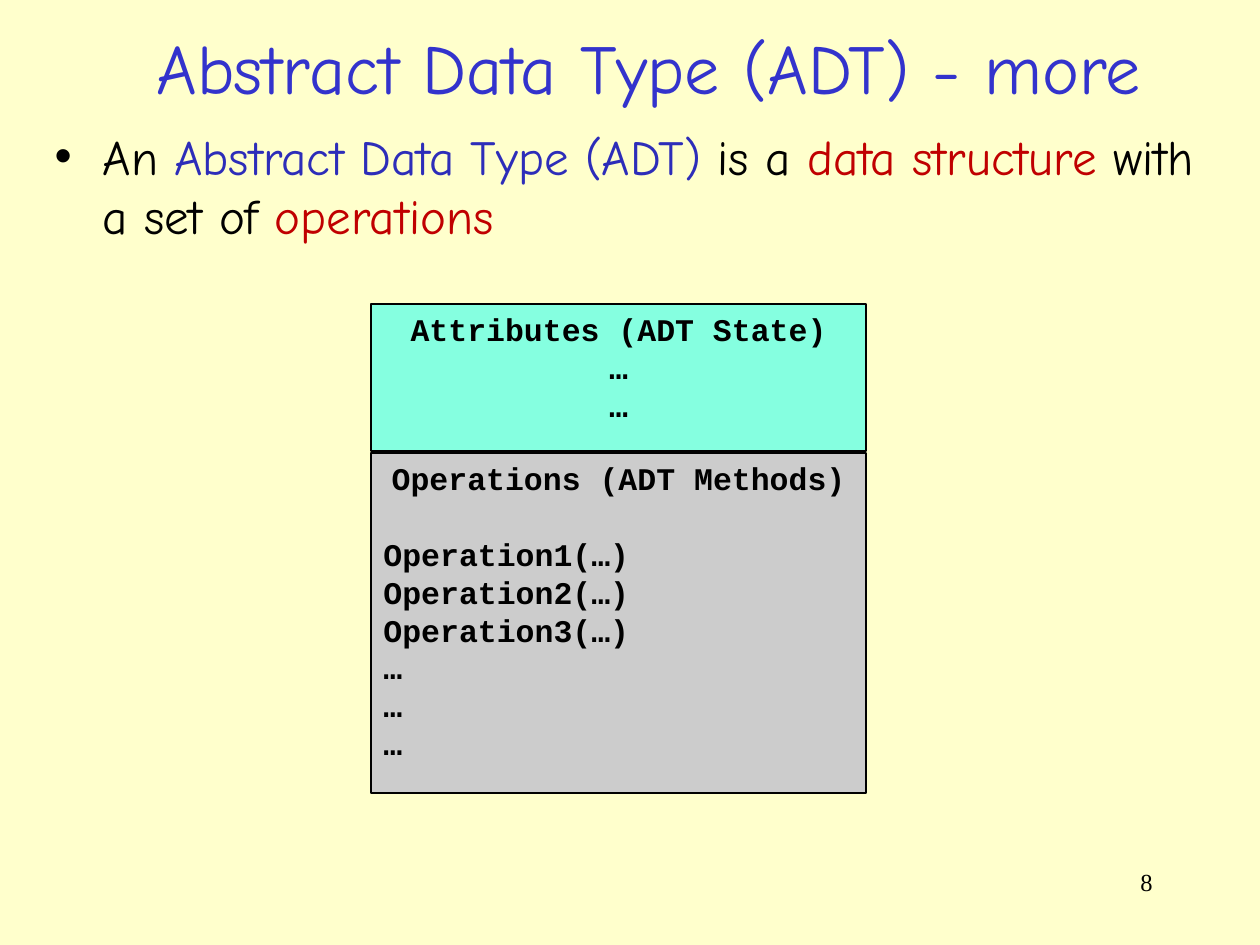
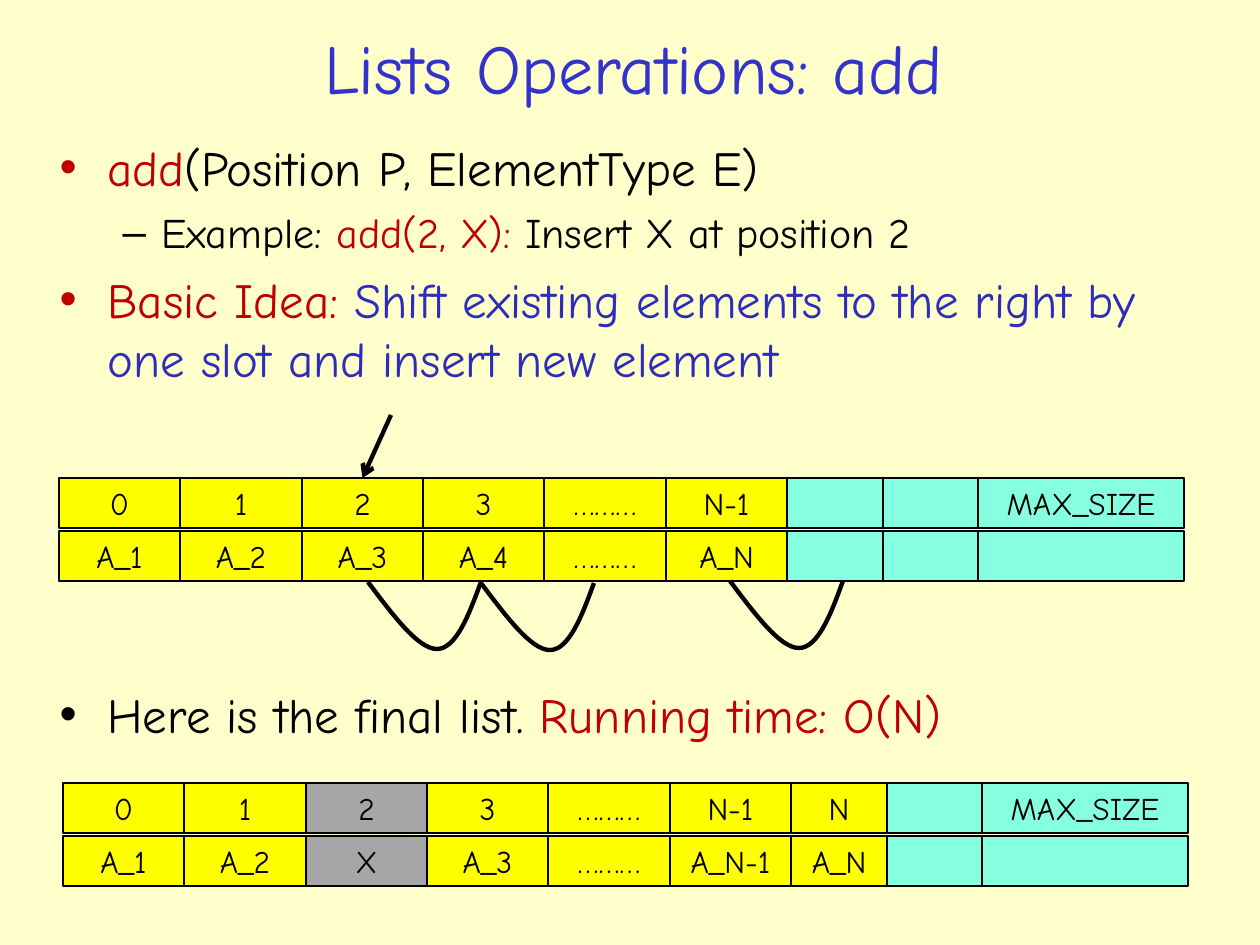
from lxml import etree
from pptx import Presentation
from pptx.dml.color import RGBColor
from pptx.enum.shapes import MSO_CONNECTOR, MSO_SHAPE
from pptx.enum.text import MSO_ANCHOR, MSO_AUTO_SIZE, PP_ALIGN
from pptx.oxml.ns import qn
from pptx.util import Pt

LEFT, CENTER, RIGHT = PP_ALIGN.LEFT, PP_ALIGN.CENTER, PP_ALIGN.RIGHT
TOP, MIDDLE = MSO_ANCHOR.TOP, MSO_ANCHOR.MIDDLE
RECTANGLE, STRAIGHT = MSO_SHAPE.RECTANGLE, MSO_CONNECTOR.STRAIGHT
NO_AUTOFIT = MSO_AUTO_SIZE.NONE

PX = 914400 / 126  # EMU in one px
SLIDE_SIZE = (1260, 945)
TITLE_AND_CONTENT = 1

COLORS = {
    "background": "FFFFCC", "title": "3333CC", "blue": "2D2DB9", "red": "C00000",
    "black": "000000", "aqua": "85FFE0", "silver": "CCCCCC", "yellow": "FFFF00",
    "gray": "A6A6A6",
}

# Text formats
COMIC, COURIER, TIMES = "Comic Neue", "Courier New", "Times New Roman"
TITLE = {"name": COMIC, "size": Pt(40)}
CELL = {"name": COMIC, "size": Pt(18)}
CODE = {"name": COURIER, "size": Pt(18), "bold": True}
PAGE_NUMBER = {"name": TIMES, "size": Pt(14)}

# List levels: format, indent and hanging in px, space before in points
LEVELS = [
    {"format": {"name": COMIC, "size": Pt(28)}, "margin": 48, "hang": 48,
     "before": 7, "bullet": "•"},
    {"format": {"name": COMIC, "size": Pt(24)}, "margin": 102, "hang": 39,
     "before": 6, "bullet": "–"},
]

# Array columns: six of one width, two narrow, one wide
COLUMN_EDGES = [round(728 * k / 6) for k in range(7)] + [824, 919, 1125]
ROW_HEIGHT, ROW_PITCH = 50, 53

# Shift curve: two cubic pieces, relative to the start
SHIFT_CURVE = [
    [(0, 0), (25, 33), (50, 67), (69, 67)],
    [(69, 67), (88, 67), (101, 33), (113, 0)],
]
CURVE_STEPS = 16


def emu(px):
    return round(px * PX)


def color(name):
    return RGBColor.from_string(COLORS[name])


def bezier(points, t):
    """Return the point at t of a cubic curve."""
    weights = [(1 - t) ** 3, 3 * t * (1 - t) ** 2, 3 * t * t * (1 - t), t ** 3]
    return [sum(w * point[axis] for w, point in zip(weights, points)) for axis in (0, 1)]


class Deck:
    def __init__(self):
        self.presentation = Presentation()
        self.presentation.slide_width, self.presentation.slide_height = map(emu, SLIDE_SIZE)
        fill = self.presentation.slide_master.background.fill
        fill.solid()
        fill.fore_color.rgb = color("background")
        self.slide = None

    def add_slide(self, title, box):
        layout = self.presentation.slide_layouts[TITLE_AND_CONTENT]
        self.slide = self.presentation.slides.add_slide(layout)
        shape = self.slide.shapes.title
        self.place(shape, box)
        self.set_frame(shape.text_frame, MIDDLE)
        self.add_runs(shape.text_frame.paragraphs[0], [(title, "title")], TITLE, CENTER)

    def place(self, shape, box):
        for name, value in zip(("left", "top", "width", "height"), box):
            setattr(shape, name, emu(value))

    def set_frame(self, frame, anchor=TOP):
        settings = {"word_wrap": True, "auto_size": NO_AUTOFIT, "vertical_anchor": anchor}
        for name, value in settings.items():
            setattr(frame, name, value)

    def add_runs(self, paragraph, runs, text_format, alignment):
        paragraph.alignment = alignment
        for text, color_name in runs:
            run = paragraph.add_run()
            run.text = text
            for name, value in text_format.items():
                setattr(run.font, name, value)
            run.font.color.rgb = color(color_name)

    def paragraphs(self, frame, count):
        """Return count paragraphs, the first being the one already there."""
        return [frame.paragraphs[0]] + [frame.add_paragraph() for _ in range(count - 1)]

    def bullets(self, box, items):
        """Fill the body; an item is level, runs and extra px before it."""
        shape = self.slide.placeholders[1]
        self.place(shape, box)
        frame = shape.text_frame
        self.set_frame(frame)
        for paragraph, (level, runs, gap) in zip(self.paragraphs(frame, len(items)), items):
            style = LEVELS[level]
            paragraph.level = level
            paragraph.space_before = Pt(style["before"]) + emu(gap)
            self.add_runs(paragraph, runs, style["format"], LEFT)
            bullet_color = runs[0][1]
            properties = paragraph._p.get_or_add_pPr()
            properties.set("marL", str(emu(style["margin"])))
            properties.set("indent", str(-emu(style["hang"])))
            holder = etree.SubElement(properties, qn("a:buClr"))
            etree.SubElement(holder, qn("a:srgbClr"), val=COLORS[bullet_color])
            etree.SubElement(properties, qn("a:buFont"), typeface="Arial")
            etree.SubElement(properties, qn("a:buChar"), char=style["bullet"])

    def text_box(self, box, text, text_format, alignment):
        shape = self.slide.shapes.add_textbox(*map(emu, box))
        self.set_frame(shape.text_frame)
        self.add_runs(shape.text_frame.paragraphs[0], [(text, "black")], text_format, alignment)

    def rectangle(self, box, fill, lines, text_format, body_alignment=CENTER, body_gap=0):
        """Draw a box with a centred first line and the other lines below."""
        shape = self.slide.shapes.add_shape(RECTANGLE, *map(emu, box))
        shape.shadow.inherit = False
        shape.fill.solid()
        shape.fill.fore_color.rgb = color(fill)
        self.outline(shape, 0.75)
        self.set_frame(shape.text_frame)
        paragraphs = self.paragraphs(shape.text_frame, len(lines))
        for index, (paragraph, line) in enumerate(zip(paragraphs, lines)):
            alignment = body_alignment if index else CENTER
            self.add_runs(paragraph, [(line, "black")] if line else [], text_format, alignment)
            if index == 1 and body_gap:
                paragraph.space_before = emu(body_gap)
        return shape

    def outline(self, shape, points):
        shape.line.color.rgb = color("black")
        shape.line.width = Pt(points)

    def array(self, left, top, rows, fills):
        """Draw rows of cells and return them by row."""
        return [
            [
                self.rectangle(
                    (left + start, top + row * ROW_PITCH, end - start, ROW_HEIGHT),
                    fill, [text], CELL)
                for text, fill, start, end in zip(
                    texts, fills, COLUMN_EDGES, COLUMN_EDGES[1:])
            ]
            for row, texts in enumerate(rows)
        ]

    def shift_curve(self, left, top):
        points = [
            (emu(left + x), emu(top + y))
            for piece in SHIFT_CURVE
            for x, y in (bezier(piece, k / CURVE_STEPS) for k in range(CURVE_STEPS + 1))
        ]
        builder = self.slide.shapes.build_freeform(*points[0])
        builder.add_line_segments(points[1:], close=False)
        shape = builder.convert_to_shape()
        shape.shadow.inherit = False
        shape.fill.background()
        self.outline(shape, 2.5)

    def arrow_to_top(self, start, target):
        begin = [emu(value) for value in start]
        connector = self.slide.shapes.add_connector(STRAIGHT, *begin, *begin)
        connector.end_connect(target, 0)
        self.outline(connector, 2.5)
        properties = connector._element.spPr
        etree.SubElement(properties.find(qn("a:ln")), qn("a:tailEnd"), type="arrow")
        etree.SubElement(properties, qn("a:effectLst"))


def build_data_type_slide(deck):
    deck.add_slide("Abstract Data Type (ADT) - more", (57, 19, 1183, 96))
    deck.bullets((42, 120, 1172, 170), [
        (0, [("An ", "black"), ("Abstract Data Type (ADT) ", "blue"), ("is a ", "black"),
             ("data structure", "red"), (" with a set of ", "black"),
             ("operations", "red")], 0),
    ])
    # Class diagram
    deck.rectangle((371, 304, 495, 147), "aqua", ["Attributes (ADT State)", "…", "…"], CODE)
    operations = [f"Operation{number}(…)" for number in (1, 2, 3)]
    deck.rectangle((371, 453, 495, 340), "silver",
                   ["Operations (ADT Methods)", *operations, "…", "…", "…"],
                   CODE, LEFT, body_gap=38)
    deck.text_box((903, 861, 262, 63), "8", PAGE_NUMBER, RIGHT)


def build_add_slide(deck):
    deck.add_slide("Lists Operations: add", (44, 19, 1179, 96))
    deck.bullets((47, 131, 1164, 788), [
        (0, [("add", "red"), ("(Position P, ElementType E)", "black")], 0),
        (1, [("Example: ", "black"), ("add(2, X): ", "red"),
             ("Insert X at position 2", "black")], 0),
        (0, [("Basic Idea: ", "red"),
             ("Shift existing elements to the right by one slot and insert new element",
              "blue")], 0),
        (0, [("Here is the final list. ", "black"), ("Running time: O(N)", "red")], 285),
    ])
    # List before the insertion
    before = deck.array(59, 478, [
        ["0", "1", "2", "3", "………", "N-1", "", "", "MAX_SIZE"],
        ["A_1", "A_2", "A_3", "A_4", "………", "A_N", "", "", ""],
    ], ["yellow"] * 6 + ["aqua"] * 3)
    for left, top in ((730, 581), (481, 583), (368, 582)):
        deck.shift_curve(left, top)
    deck.arrow_to_top((391, 415), before[0][2])
    # List after the insertion
    deck.array(63, 783, [
        ["0", "1", "2", "3", "………", "N-1", "N", "", "MAX_SIZE"],
        ["A_1", "A_2", "X", "A_3", "………", "A_N-1", "A_N", "", ""],
    ], ["yellow"] * 2 + ["gray"] + ["yellow"] * 4 + ["aqua"] * 2)


def main():
    deck = Deck()
    build_data_type_slide(deck)
    build_add_slide(deck)
    deck.presentation.save("out.pptx")


if __name__ == "__main__":
    main()
